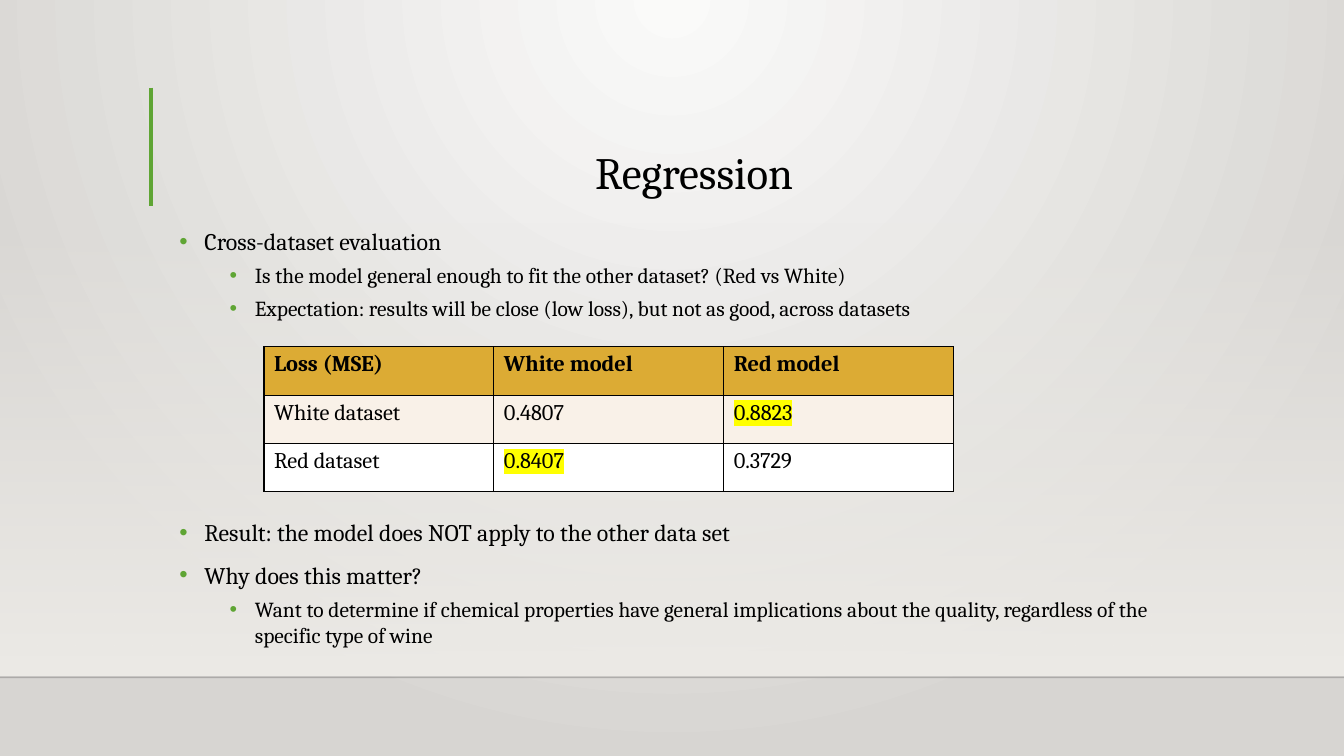
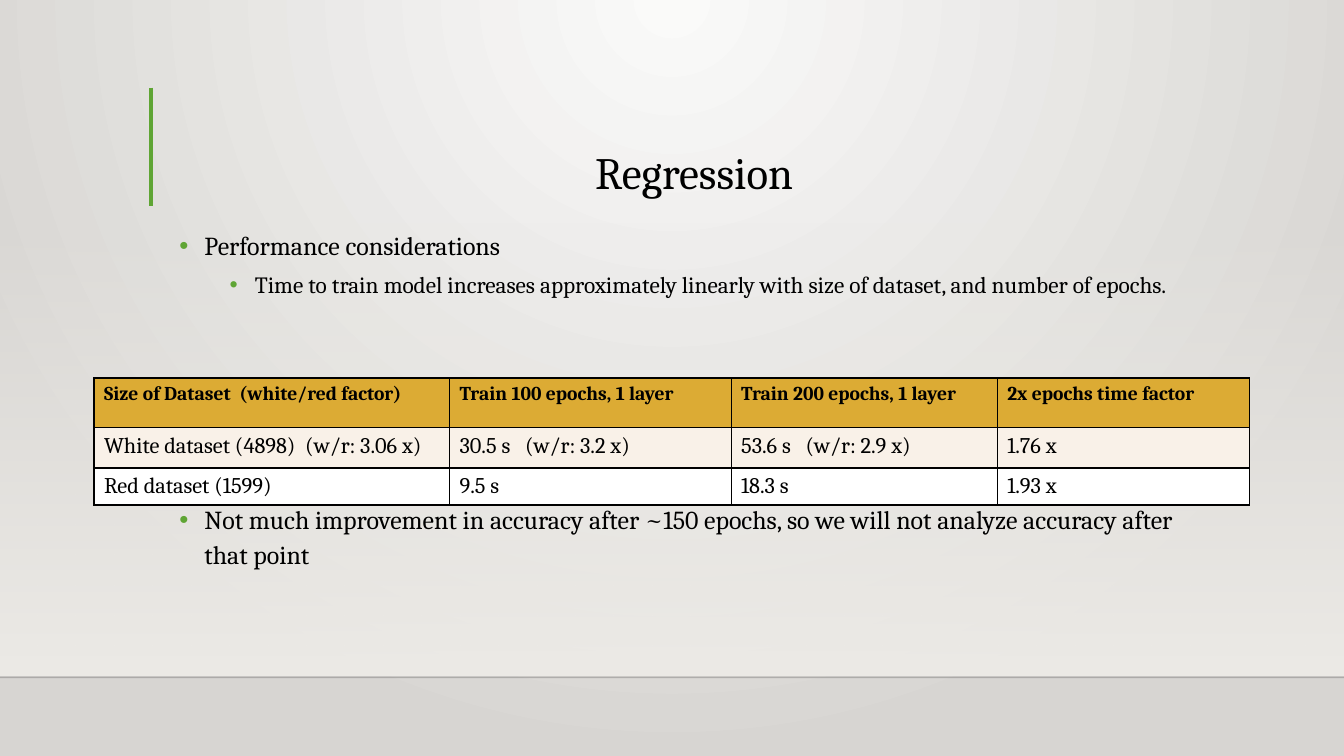
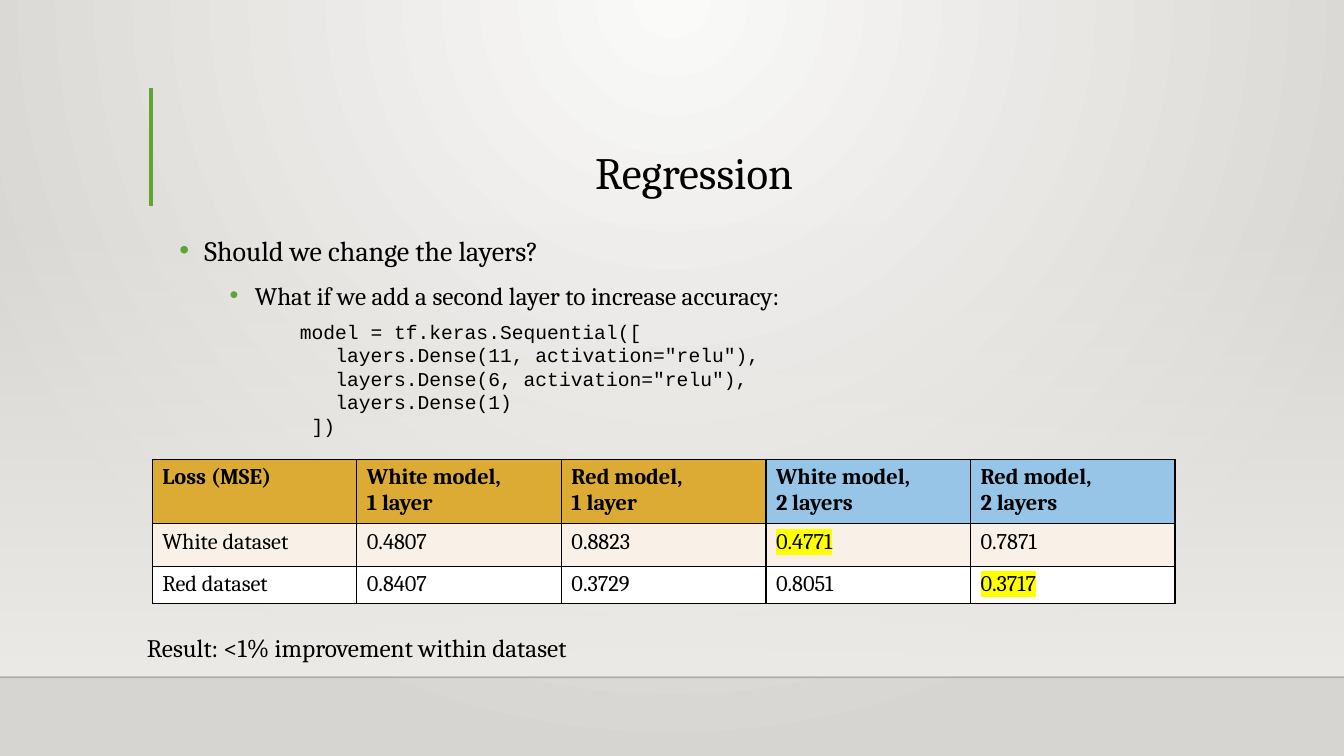
"""Build three slides on the regression results of the wine quality models."""
import lxml.etree
import pptx
import pptx.dml.color
import pptx.enum.shapes
import pptx.enum.text
import pptx.oxml.ns
import pptx.util

GREEN, BLACK, YELLOW = "5FA534", "000000", "FFFF00"
GOLD, SKY, CREAM, WHITE = "DCAB34", "96C5E7", "F9F1E8", "FFFFFF"
CODE_INDENT = 0.117

colour = pptx.dml.color.RGBColor.from_string
qn = pptx.oxml.ns.qn
add = lxml.etree.SubElement
inches = pptx.util.Inches

deck = pptx.Presentation()
deck.slide_width, deck.slide_height = inches(13.33), inches(7.5)


def place(*percents):
    """Turn alternating shares of slide width and height into lengths."""
    sides = (deck.slide_width, deck.slide_height)
    return [round(sides[i % 2] * share / 100) for i, share in enumerate(percents)]


def write(frame, text, size=16, font="Cambria", bold=False, align=None, spacing=None,
          before=0, indent=0, bullet=False, highlight=None):
    """Append each line of the text to the frame as a formatted paragraph."""
    frame.word_wrap = True
    for line in text.split("\n"):
        paragraph = frame.paragraphs[0] if not frame.text else frame.add_paragraph()
        paragraph.alignment = align
        paragraph.line_spacing = spacing
        paragraph.space_before = pptx.util.Pt(before)
        properties = paragraph._p.get_or_add_pPr()
        properties.set("marL", str(inches(indent)))
        properties.set("indent", str(inches(-0.25 if bullet else 0)))
        if bullet:
            add(add(properties, qn("a:buClr")), qn("a:srgbClr"), val=GREEN)
            add(properties, qn("a:buFont"), typeface="Arial")
            add(properties, qn("a:buChar"), char="•")
        run = paragraph.add_run()
        run.text = line
        run.font.size = pptx.util.Pt(size)
        run.font.bold = bold
        run.font.color.rgb = colour(BLACK)
        if highlight:
            add(add(run._r.rPr, qn("a:highlight")), qn("a:srgbClr"), val=highlight)
        run.font.name = font


backdrop = deck.slide_master.background.fill
backdrop.gradient()
for stop, shade in zip(backdrop.gradient_stops, ("FAFAF9", "D7D5D2")):
    stop.color.rgb = colour(shade)
glow = deck.slide_master._element.find(".//" + qn("a:gradFill"))
glow.remove(glow.find(qn("a:lin")))
add(add(glow, qn("a:path"), path="circle"), qn("a:fillToRect"),
    l="43000", t="0", r="43000", b="100000")

pages = [
    {
        "size": 17, "subsize": 15.3, "spacing": 1.0,
        "points": [
            (29.33, [(0, "Cross-dataset evaluation"),
                     (1, "Is the model general enough to fit the other dataset? (Red vs White)"),
                     (1, "Expectation: results will be close (low loss), but not as good, "
                         "across datasets")]),
            (67.83, [(0, "Result: the model does NOT apply to the other data set"),
                     (0, "Why does this matter?"),
                     (1, "Want to determine if chemical properties have general implications "
                         "about the quality, regardless of the specific type of wine")]),
        ],
        "corner": (19.65, 45.87), "columns": [17.1] * 3, "rows": [6.4] * 3,
        "header_size": 16, "header_fills": [GOLD] * 3,
        "marked": {"0.8823", "0.8407"},
        "cells": [["Loss (MSE)", "White model", "Red model"],
                  ["White dataset", "0.4807", "0.8823"],
                  ["Red dataset", "0.8407", "0.3729"]],
    },
    {
        "size": 18.5, "subsize": 16.6, "spacing": 1.1,
        "points": [
            (29.33, [(0, "Performance considerations"),
                     (1, "Time to train model increases approximately linearly with size of "
                         "dataset, and number of epochs.")]),
            (65.6, [(0, "Not much improvement in accuracy after ~150 epochs, so we will not "
                        "analyze accuracy after that point")]),
        ],
        "corner": (7, 50), "columns": [26.45, 20.95, 19.8, 18.75], "rows": [6.6, 5.3, 4.9],
        "header_size": 14, "header_fills": [GOLD] * 4,
        "marked": set(),
        "cells": [["Size of Dataset  (white/red factor)", "Train 100 epochs, 1 layer",
                   "Train 200 epochs, 1 layer", "2x epochs time factor"],
                  ["White dataset (4898)  (w/r: 3.06 x)", "30.5 s   (w/r: 3.2 x)",
                   "53.6 s   (w/r: 2.9 x)", "1.76 x"],
                  ["Red dataset (1599)", "9.5 s", "18.3 s", "1.93 x"]],
    },
    {
        "size": 20, "subsize": 18, "spacing": 1.2,
        "points": [
            (29.33, [(0, "Should we change the layers?"),
                     (1, "What if we add a second layer to increase accuracy:")]),
        ],
        "corner": (11.33, 60.8), "columns": [15.22] * 5, "rows": [8.5, 5.6, 4.9],
        "header_size": 16, "header_fills": [GOLD] * 3 + [SKY] * 2,
        "marked": {"0.4771", "0.3717"},
        "cells": [["Loss (MSE)", "White model, \n1 layer", "Red model, \n1 layer",
                   "White model, \n2 layers", "Red model, \n2 layers"],
                  ["White dataset", "0.4807", "0.8823", "0.4771", "0.7871"],
                  ["Red dataset", "0.8407", "0.3729", "0.8051", "0.3717"]],
    },
]

for page in pages:
    slide = deck.slides.add_slide(deck.slide_layouts[6])

    band = slide.shapes.add_shape(pptx.enum.shapes.MSO_SHAPE.RECTANGLE, *place(0, 29.33, 100, 60))
    band.shadow.inherit = False
    band.line.fill.background()
    band.fill.gradient()
    band.fill.gradient_angle = 270
    for stop in band.fill.gradient_stops:
        stop.color.rgb = colour("EDEBE7")
    add(band._element.spPr.find(".//" + qn("a:srgbClr")), qn("a:alpha"), val="0")

    for ends, shade, width, opacity in (((0, 89.6, 100, 89.6), "000001", 1, 20),
                                        ((11.25, 11.6, 11.25, 27.2), GREEN, 3, 100)):
        rule = slide.shapes.add_connector(pptx.enum.shapes.MSO_CONNECTOR.STRAIGHT, *place(*ends))
        rule.line.color.rgb = colour(shade)
        rule.line.width = pptx.util.Pt(width)
        add(rule._element.spPr.find(".//" + qn("a:srgbClr")), qn("a:alpha"),
            val=str(opacity * 1000))
        add(rule._element.spPr, qn("a:effectLst"))

    title = slide.shapes.add_textbox(*place(12.6, 11.73, 78.1, 15.33)).text_frame
    title.vertical_anchor = pptx.enum.text.MSO_ANCHOR.BOTTOM
    write(title, "Regression", size=32, align=pptx.enum.text.PP_ALIGN.CENTER, spacing=0.9)

    for top, points in page["points"]:
        body = slide.shapes.add_textbox(*place(12.6, top, 78.1, 16)).text_frame
        for level, point in points:
            write(body, point, size=page["subsize"] if level else page["size"],
                  spacing=page["spacing"], before=5 if level else 10,
                  indent=0.25 + 0.5 * level, bullet=True)

    results = slide.shapes.add_table(
        len(page["rows"]), len(page["columns"]),
        *place(*page["corner"], sum(page["columns"]), sum(page["rows"]))).table
    for column, share in zip(results.columns, page["columns"]):
        column.width = place(share)[0]
    for row, share in zip(results.rows, page["rows"]):
        row.height = place(0, share)[1]
    row_fills = [page["header_fills"]] + [[shade] * len(page["columns"]) for shade in (CREAM, WHITE)]
    for r, values in enumerate(page["cells"]):
        for c, value in enumerate(values):
            cell = results.cell(r, c)
            write(cell.text_frame, value, size=16 if r else page["header_size"], bold=r == 0,
                  highlight=YELLOW if value in page["marked"] else None)
            for side in ("a:lnL", "a:lnR", "a:lnT", "a:lnB"):
                border = add(cell._tc.get_or_add_tcPr(), qn(side), w="12700")
                add(add(border, qn("a:solidFill")), qn("a:srgbClr"), val=BLACK)
            cell.fill.solid()
            cell.fill.fore_color.rgb = colour(row_fills[r][c])

code = slide.shapes.add_textbox(*place(20.7, 41.6, 55.1, 17.07)).text_frame
for letters, line in ((1, "model = tf.keras.Sequential(["),
                      (4, 'layers.Dense(11, activation="relu"),'),
                      (4, 'layers.Dense(6, activation="relu"),'),
                      (4, "layers.Dense(1)"),
                      (2, "])")):
    write(code, line, size=14, font="Courier New", indent=letters * CODE_INDENT)

verdict = slide.shapes.add_textbox(*place(10.2, 82.93, 36.5, 5.4)).text_frame
write(verdict, "Result: <1% improvement within dataset", size=18)

deck.save("out.pptx")
